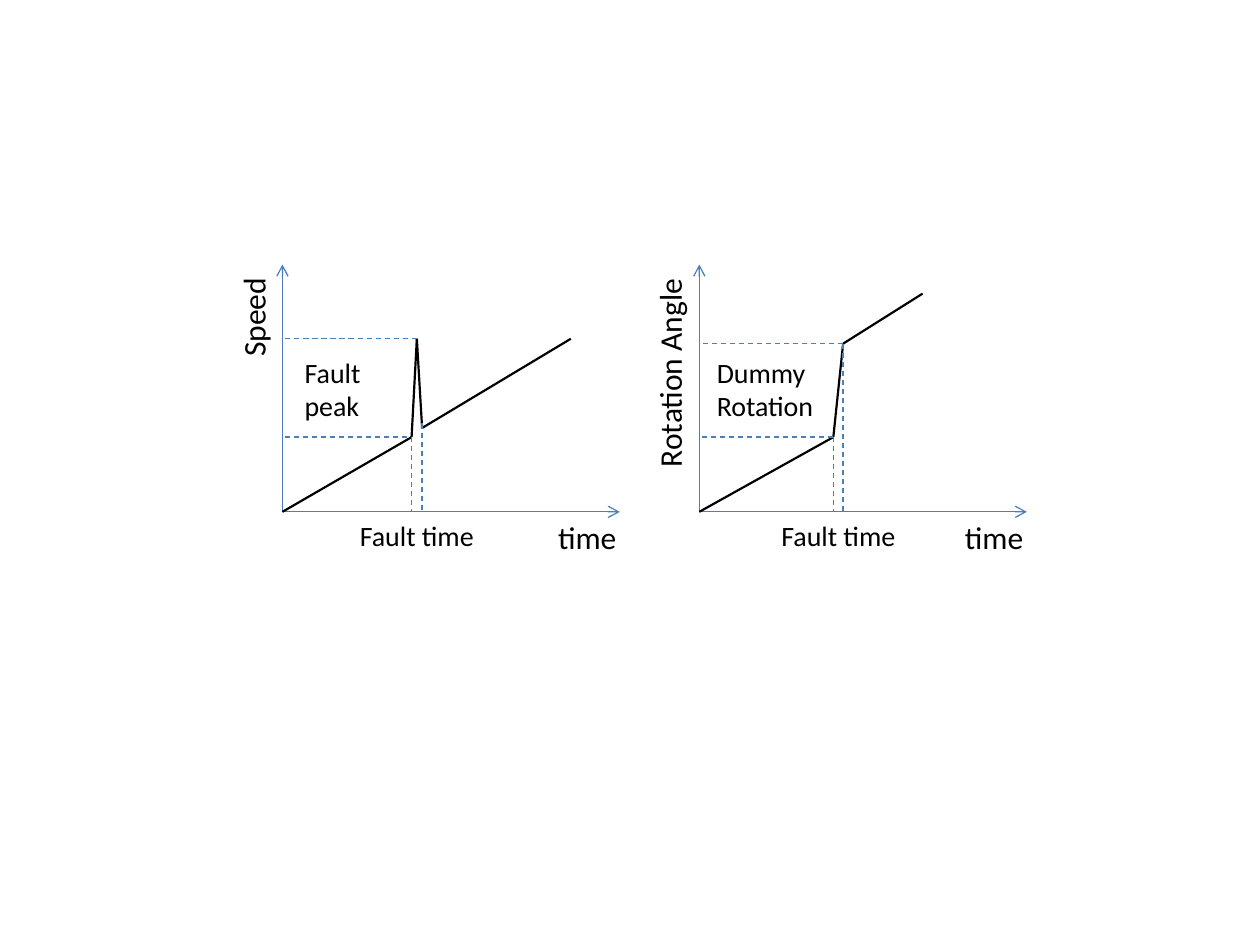
import pptx
import pptx.util
import pptx.dml.color
import pptx.enum.dml
import pptx.enum.shapes
import pptx.enum.text
import pptx.oxml.ns
import lxml.etree
from pptx.util import Pt

BLUE, BLACK = "4B7EBC", "000000"


def rgb(value):
    return pptx.dml.color.RGBColor.from_string(value)


class Sketch:
    font = "Calibri"
    thin, thick = 0.75, 1.25

    def __init__(self, slide):
        self.s = slide

    def line(self, start, end, color=BLUE, width=thin, dash=False, arrow=False):
        c = self.s.shapes.add_connector(
            pptx.enum.shapes.MSO_CONNECTOR.STRAIGHT, *map(Pt, start + end))
        c.line.color.rgb = rgb(color)
        c.line.width = Pt(width)
        if dash:
            c.line.dash_style = pptx.enum.dml.MSO_LINE.DASH
        qn = pptx.oxml.ns.qn
        if arrow:
            lxml.etree.SubElement(c.line._get_or_add_ln(), qn("a:tailEnd"), type="arrow")
        lxml.etree.SubElement(c._element.spPr, qn("a:effectLst"))

    def curve(self, points):
        for start, end in zip(points, points[1:]):
            self.line(start, end, BLACK, self.thick)

    def text(self, lines, x, y, w, h, size, rotation=0):
        sp = self.s.shapes.add_textbox(Pt(x), Pt(y), Pt(w), Pt(h))
        sp.rotation = rotation
        tf = sp.text_frame
        tf.word_wrap = False
        tf.auto_size = pptx.enum.text.MSO_AUTO_SIZE.SHAPE_TO_FIT_TEXT
        for i, line in enumerate(lines):
            p = tf.add_paragraph() if i else tf.paragraphs[0]
            r = p.add_run()
            r.text = line
            r.font.name = self.font
            r.font.size = Pt(size)
            r.font.color.rgb = rgb(BLACK)


prs = pptx.Presentation()
prs.slide_width, prs.slide_height = Pt(720), Pt(540)
sketch = Sketch(prs.slides.add_slide(prs.slide_layouts[6]))

# Shared heights: axis base, axis top, start of the fault
base, top, fault_y = 292.5, 151.2, 249.8

# Each graph: axis ends, curve, dashed guides, labels as (lines, x, y, w, h)
graphs = [
    dict(x=161.4, end=354.2,
         curve=[(235.2, fault_y), (238.2, 193.6), (241.2, 244.6), (326.2, 193.6)],
         drops=[(235.2, fault_y), (241.2, 242)],
         levels=[(238.2, 193.6), (232.8, fault_y)],
         name=(["Speed"], 114.5, 166.3, 60.5, 29),
         time_x=311.8, fault_x=198.5,
         note=(["Fault ", "peak"], 167, 199.4, 50.4, 46)),
    dict(x=399.6, end=586.8,
         curve=[(476.2, fault_y), (481.8, 196.4), (527.2, 167.8)],
         drops=[(476.2, fault_y), (481.8, 196.4)],
         levels=[(481.8, 196.4), (476.2, fault_y)],
         name=(["Rotation Angle"], 321.1, 198, 123.1, 29),
         time_x=544.3, fault_x=439.4,
         note=(["Dummy", "Rotation"], 402.5, 199.4, 70.6, 46)),
]

for g in graphs:
    origin = (g["x"], base)
    # Axes
    sketch.line(origin, (g["end"], base), arrow=True)
    sketch.line(origin, (g["x"], top), arrow=True)
    # Curve
    sketch.curve([origin] + g["curve"])
    # Dashed guides to both axes
    for x, y in g["drops"]:
        sketch.line((x, y), (x, base), dash=True)
    for x, y in g["levels"]:
        sketch.line((x, y), (g["x"], y), dash=True)
    # Labels
    sketch.text(*g["name"], size=18, rotation=270)
    sketch.text(["time"], g["time_x"], base, 48.2, 29, 18)
    sketch.text(["Fault time"], g["fault_x"], base, 80.6, 26.6, 16)
    sketch.text(*g["note"], size=16)

prs.save("out.pptx")
